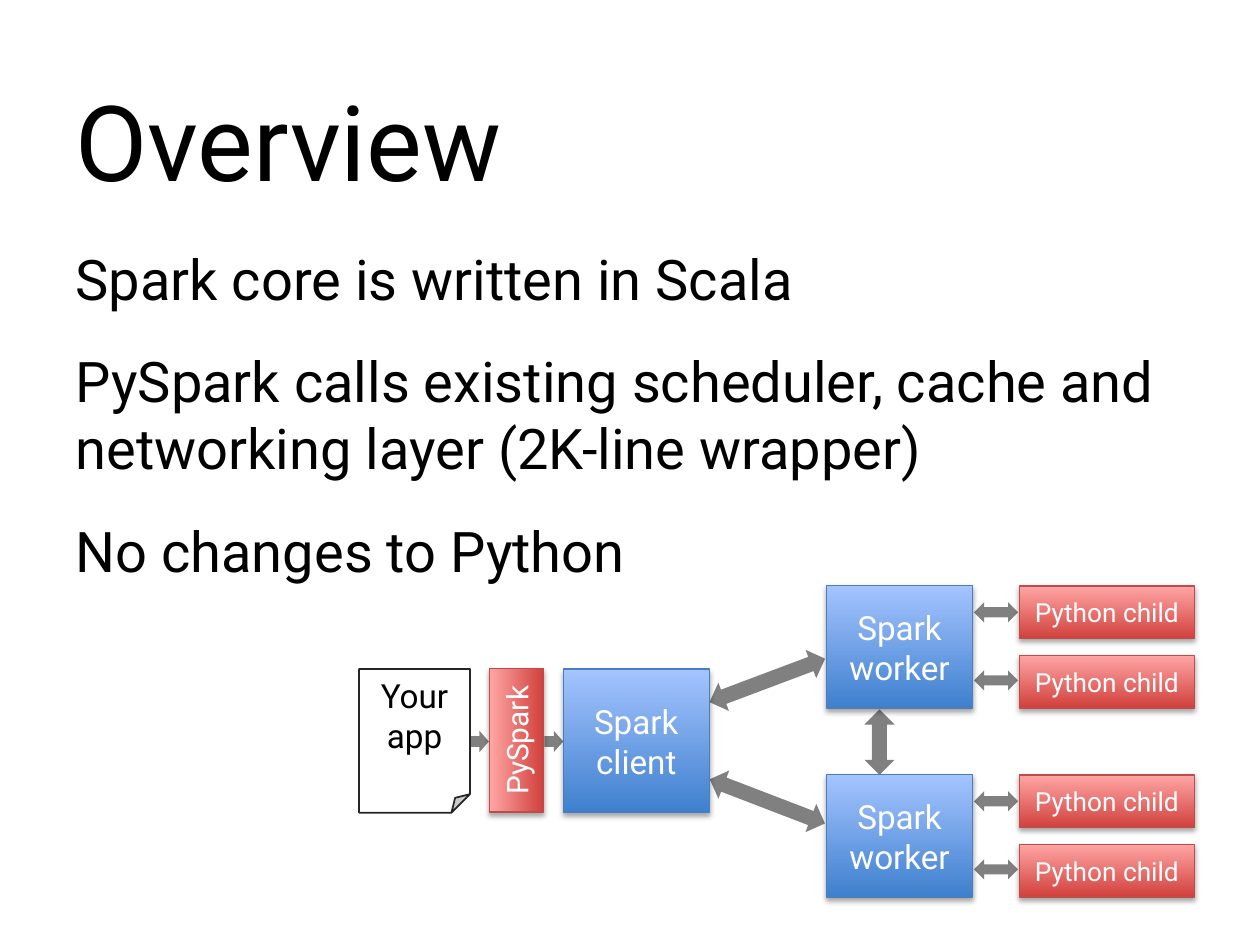
from lxml import etree
from pptx import Presentation
from pptx.dml.color import RGBColor
from pptx.enum.shapes import MSO_SHAPE
from pptx.enum.text import MSO_ANCHOR, MSO_AUTO_SIZE, PP_ALIGN
from pptx.oxml.ns import qn
from pptx.util import Inches, Pt

RECT, FOLDED = MSO_SHAPE.RECTANGLE, MSO_SHAPE.FOLDED_CORNER
RIGHT, BOTH = MSO_SHAPE.RIGHT_ARROW, MSO_SHAPE.LEFT_RIGHT_ARROW
TOP, MIDDLE = MSO_ANCHOR.TOP, MSO_ANCHOR.MIDDLE
LEFT, CENTER = PP_ALIGN.LEFT, PP_ALIGN.CENTER
NO_FIT = MSO_AUTO_SIZE.NONE

THEME = {
    "font": "Roboto",
    "black": RGBColor.from_string("000000"),
    "white": RGBColor.from_string("FFFFFF"),
    "arrow": RGBColor.from_string("808080"),
    "page_line": RGBColor.from_string("262626"),
    # bottom colour, top colour, outline
    "blue": [RGBColor.from_string(c) for c in ("3F80CE", "A4C4FF", "4B7EBC")],
    "red": [RGBColor.from_string(c) for c in ("D1403C", "FFA6A5", "BF4C48")],
    "title": 60, "body": 32, "node": 19, "wrapper": 17, "child": 15,
}


def write(p, text, size, color, align):
    p.alignment = align
    r = p.add_run()
    r.text = text
    font = {"name": THEME["font"], "size": Pt(THEME[size])}
    for name, value in font.items():
        setattr(r.font, name, value)
    r.font.color.rgb = color


def add_box(box, text, size, colors, rotation=0, side_inset=0.1):
    sp = s.shapes.add_shape(RECT, *map(Inches, box))
    sp.rotation = rotation
    sp.fill.gradient()
    sp.fill.gradient_angle = 90
    for stop, color in zip(sp.fill.gradient_stops, colors):
        stop.color.rgb = color
    sp.line.color.rgb = colors[2]
    sp.line.width = Pt(0.75)
    # Soft shadow below the box
    sp.shadow.inherit = False
    effects = sp._element.spPr.find(qn("a:effectLst"))
    shadow = etree.SubElement(effects, qn("a:outerShdw"), blurRad=str(Pt(3.1)),
                              dist=str(Pt(1.8)), dir="5400000", rotWithShape="0")
    tint = etree.SubElement(shadow, qn("a:srgbClr"), val=str(THEME["black"]))
    etree.SubElement(tint, qn("a:alpha"), val="35000")
    tf = sp.text_frame
    frame = {"word_wrap": True, "vertical_anchor": MIDDLE,
             "margin_left": Inches(side_inset), "margin_right": Inches(side_inset)}
    for name, value in frame.items():
        setattr(tf, name, value)
    write(tf.paragraphs[0], text, size, THEME["white"], CENTER)


prs = Presentation()
prs.slide_width, prs.slide_height = Inches(10), Inches(7.5)
s = prs.slides.add_slide(prs.slide_layouts[1])

# Title and body text
title, body = s.placeholders
for sp, box, anchor in ((title, (0.5, 0.48, 9, 1.25), MIDDLE),
                        (body, (0.5, 1.89, 9, 2.83), TOP)):
    sp.left, sp.top, sp.width, sp.height = map(Inches, box)
    frame = {"word_wrap": True, "auto_size": NO_FIT, "vertical_anchor": anchor}
    for name, value in frame.items():
        setattr(sp.text_frame, name, value)
write(title.text_frame.paragraphs[0], "Overview", "title", THEME["black"], LEFT)

points = ["Spark core is written in Scala",
          "PySpark calls existing scheduler, cache and networking layer (2K-line wrapper)",
          "No changes to Python"]
tf = body.text_frame
for i, point in enumerate(points):
    p = tf.add_paragraph() if i else tf.paragraphs[0]
    pPr = p._p.get_or_add_pPr()
    pPr.set("marL", "0")
    pPr.set("indent", "0")
    etree.SubElement(pPr, qn("a:buNone"))
    p.space_before = Pt(20 if i else 0)
    write(p, point, "body", THEME["black"], LEFT)

# Arrows: kind, box, rotation
worker_tops = (4.65, 6.15)
arrows = [
    (BOTH, (5.6, 5.28, 0.98, 0.24), 339.4),
    (BOTH, (5.6, 6.24, 0.98, 0.24), 21),
    (BOTH, (6.72, 5.77, 0.52, 0.24), 270),
    (RIGHT, (3.73, 5.8, 0.15, 0.17), 0),
    (RIGHT, (4.32, 5.8, 0.15, 0.17), 0),
]
arrows += [(BOTH, (7.73, top + drop, 0.35, 0.16), 0)
           for top in worker_tops for drop in (0.13, 0.67)]
for kind, box, rotation in arrows:
    sp = s.shapes.add_shape(kind, *map(Inches, box))
    sp.rotation = rotation
    sp.shadow.inherit = False
    sp.fill.solid()
    sp.fill.fore_color.rgb = THEME["arrow"]
    sp.line.fill.background()

# Application page
sp = s.shapes.add_shape(FOLDED, Inches(2.85), Inches(5.31), Inches(0.88), Inches(1.14))
sp.shadow.inherit = False
sp.fill.solid()
sp.fill.fore_color.rgb = THEME["white"]
sp.line.color.rgb = THEME["page_line"]
sp.line.width = Pt(1)
tf = sp.text_frame
tf.word_wrap = True
tf.vertical_anchor = TOP
write(tf.paragraphs[0], "Your app", "node", THEME["black"], CENTER)

# Wrapper and client
add_box((3.53, 5.66, 1.14, 0.43), "PySpark", "wrapper", THEME["red"], rotation=270)
add_box((4.47, 5.31, 1.16, 1.14), "Spark client", "node", THEME["blue"])

# Workers, each with two child processes
for top in worker_tops:
    add_box((6.56, top, 1.16, 0.97), "Spark worker", "node", THEME["blue"])
    for drop in (0, 0.55):
        add_box((8.09, top + drop, 1.39, 0.42), "Python child", "child",
                THEME["red"], side_inset=0)

prs.save("out.pptx")
